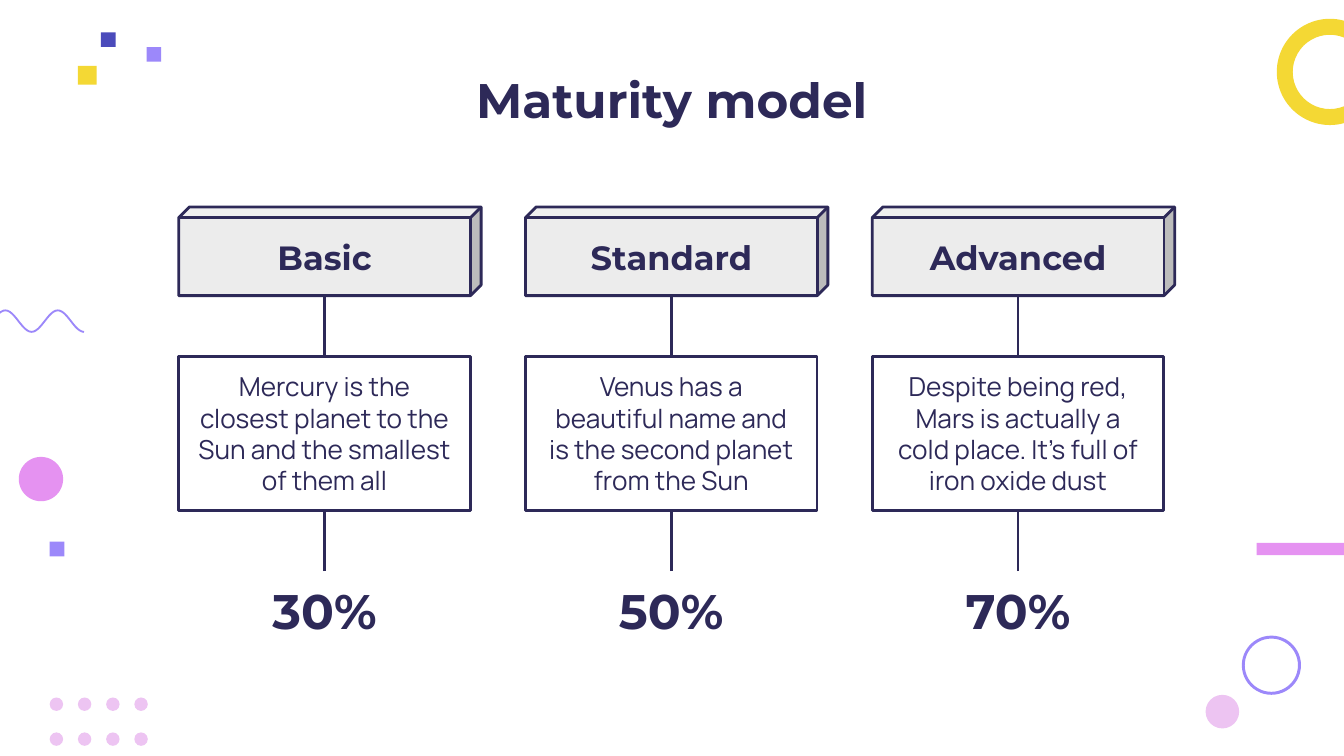
import math
from dataclasses import dataclass

from lxml import etree
from pptx import Presentation
from pptx.dml.color import RGBColor
from pptx.enum.shapes import MSO_CONNECTOR, MSO_SHAPE
from pptx.enum.text import MSO_ANCHOR, PP_ALIGN
from pptx.oxml.ns import qn
from pptx.util import Inches, Pt

CENTER = PP_ALIGN.CENTER
MIDDLE = MSO_ANCHOR.MIDDLE
STRAIGHT = MSO_CONNECTOR.STRAIGHT
CUBE = MSO_SHAPE.CUBE
RECTANGLE = MSO_SHAPE.RECTANGLE
OVAL = MSO_SHAPE.OVAL
DONUT = MSO_SHAPE.DONUT
TOP, BOTTOM = 0, 2


@dataclass(frozen=True)
class Theme:
    ink: str = "2D2958"
    panel: str = "ECECEC"
    yellow: str = "F4D834"
    violet: str = "9C88FA"
    indigo: str = "4B4BBB"
    pink: str = "E592F1"
    pale_pink: str = "EDC4F2"
    heading_font: str = "Montserrat"
    body_font: str = "Manrope"
    display_size: int = 26
    heading_size: int = 18
    body_size: int = 14
    line_width: float = 1.5
    wave_width: float = 1


THEME = Theme()

LEVELS = [
    ("Basic", "Mercury is the closest planet to the Sun and the smallest of them all", "30%"),
    ("Standard", "Venus has a beautiful name and is the second planet from the Sun", "50%"),
    ("Advanced", "Despite being red, Mars is actually a cold place. It’s full of iron oxide dust", "70%"),
]
COLUMN_LEFT, COLUMN_WIDTH, COLUMN_GAP = 1.33, 2.17, 0.41
COLUMN_STEP = COLUMN_WIDTH + COLUMN_GAP

DECORATIONS = [
    (DONUT, 9.5, 0.14, 0.79, 0.79, THEME.yellow, 0.15),
    (DONUT, 9.24, 4.73, 0.44, 0.44, THEME.violet, 0.05),
    (OVAL, 0.14, 3.4, 0.33, 0.33, THEME.pink, None),
    (OVAL, 8.97, 5.17, 0.25, 0.25, THEME.pale_pink, None),
    (RECTANGLE, 9.35, 4.04, 0.88, 0.09, THEME.pink, None),
    (RECTANGLE, 0.58, 0.49, 0.14, 0.14, THEME.yellow, None),
    (RECTANGLE, 1.09, 0.35, 0.11, 0.11, THEME.violet, None),
    (RECTANGLE, 0.75, 0.24, 0.11, 0.11, THEME.indigo, None),
    (RECTANGLE, 0.37, 4.03, 0.11, 0.11, THEME.violet, None),
]


def color(value):
    return RGBColor.from_string(value)


def write_text(box, text, *, font, size, bold=False, inset_x=0.1, inset_y=0.1):
    frame = box.text_frame
    frame.word_wrap = True
    frame.vertical_anchor = MIDDLE
    frame.margin_left = frame.margin_right = Inches(inset_x)
    frame.margin_top = frame.margin_bottom = Inches(inset_y)
    para = frame.paragraphs[0]
    para.alignment = CENTER
    span = para.add_run()
    span.text = text
    span.font.name = font
    span.font.size = Pt(size)
    span.font.bold = bold
    span.font.color.rgb = color(THEME.ink)


def add_label(page, left, top, width, height, text, **style):
    box = page.shapes.add_textbox(Inches(left), Inches(top), Inches(width), Inches(height))
    write_text(box, text, **style)
    return box


def set_line(line, value, width):
    line.color.rgb = color(value)
    line.width = Pt(width)


def add_figure(page, kind, left, top, width, height, fill=None, outline=None, adjustment=None):
    figure = page.shapes.add_shape(kind, Inches(left), Inches(top), Inches(width), Inches(height))
    figure.shadow.inherit = False
    if adjustment is not None:
        figure.adjustments[0] = adjustment
    if fill:
        figure.fill.solid()
        figure.fill.fore_color.rgb = color(fill)
    else:
        figure.fill.background()
    if outline:
        set_line(figure.line, outline, THEME.line_width)
    else:
        figure.line.fill.background()
    return figure


def add_link(page, x, start_y, end_y):
    link = page.shapes.add_connector(
        STRAIGHT, Inches(x), Inches(start_y), Inches(x), Inches(end_y))
    set_line(link.line, THEME.ink, THEME.line_width)
    etree.SubElement(link._element.spPr, qn("a:effectLst"))
    return link


def add_wave(page, left, middle, amplitude, period, cycles):
    steps = 24
    points = [
        (Inches(left + period * i / steps),
         Inches(middle - amplitude * math.cos(math.tau * i / steps)))
        for i in range(int(cycles * steps) + 1)
    ]
    builder = page.shapes.build_freeform(*points[0])
    builder.add_line_segments(points[1:], close=False)
    wave = builder.convert_to_shape()
    wave.shadow.inherit = False
    wave.fill.background()
    set_line(wave.line, THEME.violet, THEME.wave_width)


def add_decorations(page):
    for column in range(4):
        for row in range(2):
            add_figure(page, OVAL, 0.37 + 0.21 * column, 5.19 + 0.26 * row, 0.1, 0.1,
                       fill=THEME.pale_pink)
    add_wave(page, left=-0.35, middle=2.39, amplitude=0.08, period=0.39, cycles=2.5)
    for kind, left, top, width, height, fill, adjustment in DECORATIONS:
        add_figure(page, kind, left, top, width, height, fill=fill, adjustment=adjustment)


def add_level(page, left, name, description, share):
    cube = add_figure(page, CUBE, left, 1.54, 2.25, 0.66,
                      fill=THEME.panel, outline=THEME.ink, adjustment=0.12)
    write_text(cube, name, font=THEME.heading_font, size=THEME.heading_size, bold=True)
    card = add_figure(page, RECTANGLE, left, 2.65, COLUMN_WIDTH, 1.15, outline=THEME.ink)
    write_text(card, description, font=THEME.body_font, size=THEME.body_size, inset_x=0.14)
    percent = add_label(page, left, 4.25, COLUMN_WIDTH, 0.58, share,
                        font=THEME.heading_font, size=THEME.display_size, bold=True,
                        inset_x=0, inset_y=0)
    center = left + COLUMN_WIDTH / 2
    upper_link = add_link(page, center, 2.65, 2.2)
    upper_link.begin_connect(card, TOP)
    lower_link = add_link(page, center, 4.25, 3.8)
    lower_link.begin_connect(percent, TOP)
    lower_link.end_connect(card, BOTTOM)


def main():
    deck = Presentation()
    deck.slide_width = Inches(10)
    deck.slide_height = deck.slide_width * 9 // 16
    page = deck.slides.add_slide(deck.slide_layouts[6])
    add_decorations(page)
    add_label(page, 0.83, 0.42, 8.34, 0.63, "Maturity model",
              font=THEME.heading_font, size=THEME.display_size, bold=True)
    for index, level in enumerate(LEVELS):
        add_level(page, COLUMN_LEFT + COLUMN_STEP * index, *level)
    deck.save("out.pptx")


if __name__ == "__main__":
    main()
